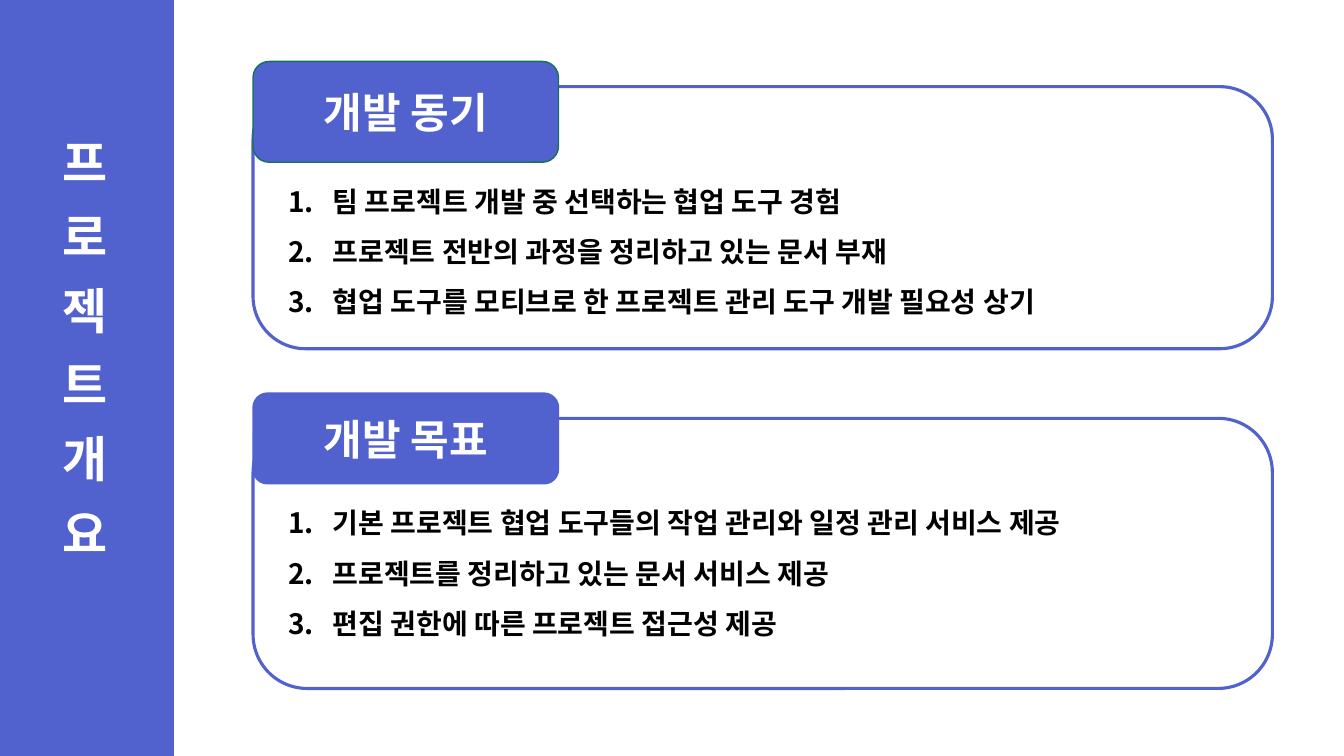
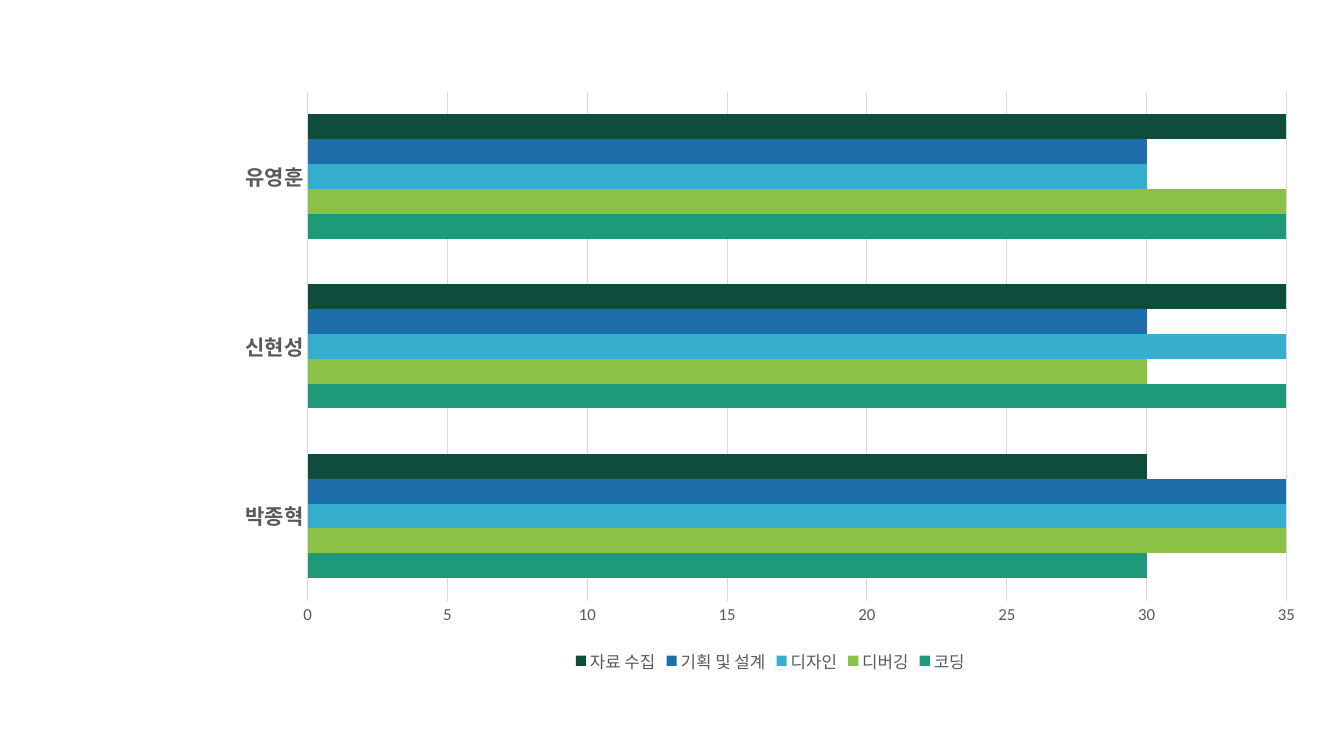
from dataclasses import dataclass

from lxml.etree import SubElement
from pptx import Presentation
from pptx.chart.data import CategoryChartData
from pptx.dml.color import RGBColor
from pptx.enum.chart import XL_CHART_TYPE as ChartType
from pptx.enum.chart import XL_LEGEND_POSITION as LegendPosition
from pptx.enum.chart import XL_TICK_MARK as TickMark
from pptx.enum.shapes import MSO_SHAPE as Preset
from pptx.enum.text import MSO_ANCHOR as Anchor
from pptx.enum.text import PP_ALIGN as Align
from pptx.oxml.ns import qn
from pptx.util import Inches, Pt


@dataclass(frozen=True)
class Theme:
    accent: str = "5161CE"
    tab_edge: str = "157259"
    white: str = "FFFFFF"
    ink: str = "000000"
    axis_text: str = "595959"
    grid: str = "D9D9D9"
    series: tuple = ("1D9A78", "8BC145", "36AFCE", "1D6FA9", "0E4D3C")
    font: str = "Calibri"
    korean_font: str = "Noto Sans CJK KR"
    title_size: int = 35
    tab_size: int = 30
    body_size: int = 20
    body_leading: int = 36
    category_size: int = 15
    label_size: int = 12
    chart_size: int = 10
    outline: float = 2.25
    thin: float = 1
    hairline: float = 0.75


class Deck:
    def __init__(self, theme):
        self.theme = theme
        self.presentation = Presentation()
        self.presentation.slide_width = Inches(13.33)
        self.presentation.slide_height = Inches(7.5)
        self.slide = None

    def new_slide(self):
        blank = self.presentation.slide_layouts[6]
        self.slide = self.presentation.slides.add_slide(blank)

    def style_font(self, font, size, color, name=None, bold=False):
        font.name = name or self.theme.font
        font.size = Pt(size)
        font.bold = bold
        font.color.rgb = RGBColor.from_string(color)

    def style_line(self, line, color, width):
        line.color.rgb = RGBColor.from_string(color)
        line.width = Pt(width)

    def add_run(self, paragraph, text, size, color, name=None):
        run = paragraph.add_run()
        run.text = text
        self.style_font(run.font, size, color, name, bold=True)
        east_asian = SubElement(run.font._element, qn("a:ea"))
        east_asian.set("typeface", self.theme.korean_font)
        return run

    def box(self, preset, left, top, width, height, edge, weight, fill=None, corner=None):
        shape = self.slide.shapes.add_shape(
            preset, Inches(left), Inches(top), Inches(width), Inches(height))
        shape.shadow.inherit = False
        if fill:
            shape.fill.solid()
            shape.fill.fore_color.rgb = RGBColor.from_string(fill)
        else:
            shape.fill.background()
        self.style_line(shape.line, edge, weight)
        if corner is not None:
            shape.adjustments[0] = corner
        return shape

    def text_frame(self, left, top, width, height):
        text_box = self.slide.shapes.add_textbox(
            Inches(left), Inches(top), Inches(width), Inches(height))
        text_box.text_frame.word_wrap = True
        return text_box.text_frame

    def side_title(self, text):
        theme = self.theme
        self.box(Preset.RECTANGLE, 0, 0, 1.72, 7.5, theme.accent, theme.thin, theme.accent)
        frame = self.text_frame(0.38, 1.27, 0.79, 5.17)
        frame._txBody.bodyPr.set("vert", "eaVert")
        paragraph = frame.paragraphs[0]
        paragraph.alignment = Align.CENTER
        run = self.add_run(paragraph, text, theme.title_size, theme.white)
        run.font._element.set("spc", "500")

    def numbered_list(self, left, top, width, height, items):
        theme = self.theme
        frame = self.text_frame(left, top, width, height)
        for index, item in enumerate(items):
            paragraph = frame.add_paragraph() if index else frame.paragraphs[0]
            paragraph.line_spacing = Pt(theme.body_leading)
            properties = paragraph._p.get_or_add_pPr()
            properties.set("marL", str(Inches(0.44)))
            properties.set("indent", str(-Inches(0.44)))
            SubElement(properties, qn("a:buFont")).set("typeface", theme.korean_font)
            SubElement(properties, qn("a:buAutoNum")).set("type", "arabicPeriod")
            self.add_run(paragraph, item, theme.body_size, theme.ink, theme.korean_font)

    def card(self, top, tab_height, panel_height, tab_edge, heading, items):
        theme = self.theme
        self.box(Preset.ROUNDED_RECTANGLE, 2.51, top + 0.25, 10.11, panel_height,
                 theme.accent, theme.outline, corner=0.2)
        tab = self.box(Preset.ROUNDED_RECTANGLE, 2.51, top, 3.03, tab_height,
                       tab_edge, theme.thin, theme.accent, corner=0.16)
        tab.text_frame.vertical_anchor = Anchor.MIDDLE
        paragraph = tab.text_frame.paragraphs[0]
        paragraph.alignment = Align.CENTER
        self.add_run(paragraph, heading, theme.tab_size, theme.white)
        self.numbered_list(2.76, top + tab_height, 9.61, 1.55, items)

    def bar_chart(self, left, top, width, height, categories, series_values):
        theme = self.theme
        data = CategoryChartData()
        data.categories = categories
        for name, values in series_values.items():
            data.add_series(name, values)
        chart = self.slide.shapes.add_chart(
            ChartType.BAR_CLUSTERED, Inches(left), Inches(top),
            Inches(width), Inches(height), data).chart
        chart.has_title = False
        self.style_font(chart.font, theme.chart_size, theme.ink)

        plot = chart.plots[0]
        plot.gap_width = 182
        plot.vary_by_categories = False
        for series, color in zip(plot.series, theme.series):
            series.invert_if_negative = False
            series.format.fill.solid()
            series.format.fill.fore_color.rgb = RGBColor.from_string(color)

        category_axis, value_axis = chart.category_axis, chart.value_axis
        for axis in (category_axis, value_axis):
            axis.major_tick_mark = TickMark.NONE
            axis.minor_tick_mark = TickMark.NONE
        self.style_font(category_axis.tick_labels.font, theme.category_size,
                        theme.axis_text, bold=True)
        self.style_line(category_axis.format.line, theme.grid, theme.hairline)

        self.style_font(value_axis.tick_labels.font, theme.label_size, theme.axis_text)
        value_axis.minimum_scale = 0
        value_axis.maximum_scale = 35
        value_axis.major_unit = 5
        value_axis.format.line.fill.background()
        self.style_line(value_axis.major_gridlines.format.line, theme.grid, theme.hairline)

        chart.has_legend = True
        chart.legend.position = LegendPosition.BOTTOM
        chart.legend.include_in_layout = False
        self.style_font(chart.legend.font, theme.label_size, theme.axis_text)


def main():
    theme = Theme()
    deck = Deck(theme)

    deck.new_slide()
    deck.side_title("프 로 젝 트 개 요")
    deck.card(0.61, 1, 2.6, theme.tab_edge, "개발 동기", [
        "팀 프로젝트 개발 중 선택하는 협업 도구 경험",
        "프로젝트 전반의 과정을 정리하고 있는 문서 부재",
        "협업 도구를 모티브로 한 프로젝트 관리 도구 개발 필요성 상기",
    ])
    deck.card(3.9, 0.9, 2.68, theme.accent, "개발 목표", [
        "기본 프로젝트 협업 도구들의 작업 관리와 일정 관리 서비스 제공",
        "프로젝트를 정리하고 있는 문서 서비스 제공",
        "편집 권한에 따른 프로젝트 접근성 제공",
    ])

    deck.new_slide()
    deck.bar_chart(2.22, 0.79, 10.84, 5.93, ["박종혁", "신현성", "유영훈"], {
        "코딩": (30, 35, 35),
        "디버깅": (35, 30, 35),
        "디자인": (35, 35, 30),
        "기획 및 설계": (35, 30, 30),
        "자료 수집": (30, 35, 35),
    })

    deck.presentation.save("out.pptx")


if __name__ == "__main__":
    main()
